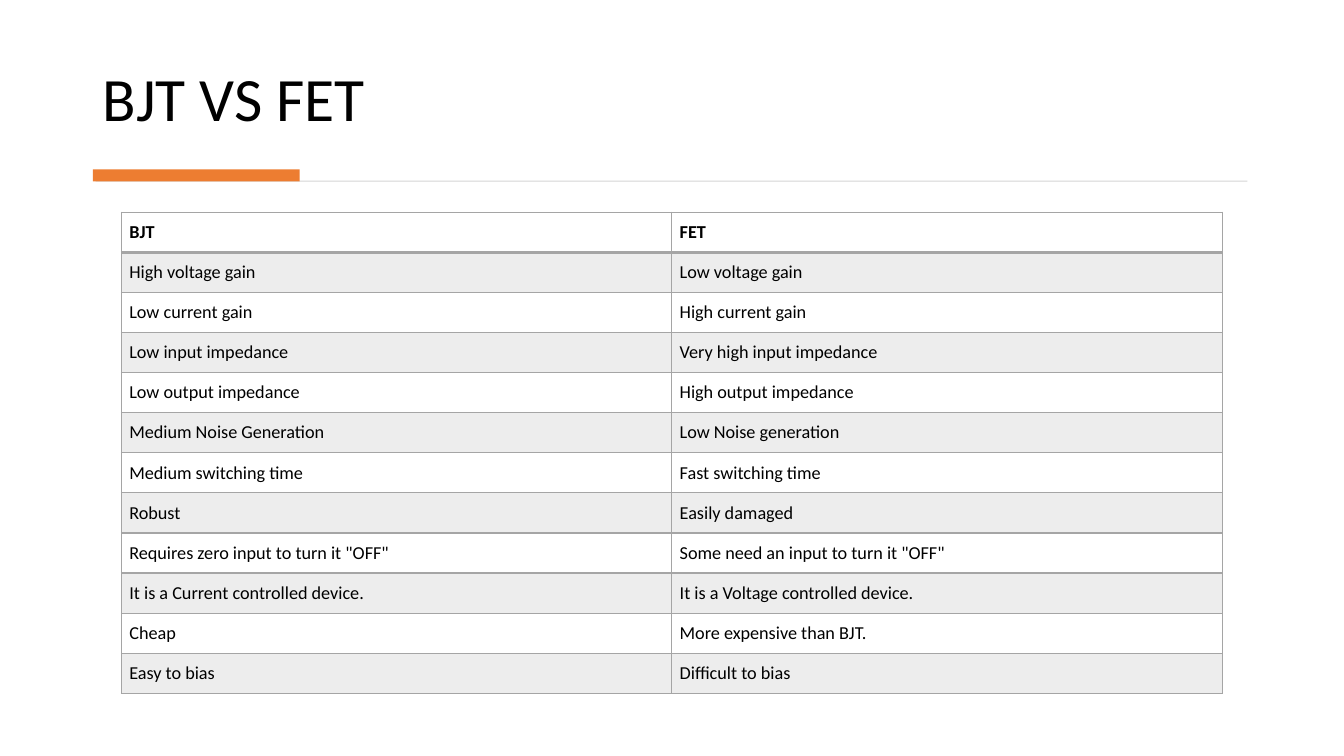
from dataclasses import dataclass

from lxml.etree import SubElement
from pptx import Presentation
from pptx.dml.color import RGBColor
from pptx.enum.shapes import MSO_SHAPE as Shape
from pptx.enum.text import MSO_ANCHOR as Anchor, MSO_AUTO_SIZE as AutoSize, PP_ALIGN as Align
from pptx.oxml.ns import qn
from pptx.util import Cm, Pt


@dataclass(frozen=True)
class Theme:
    font: str = "Calibri"
    text: str = "000000"
    accent: str = "ED7D31"
    rule: str = "D5D5D5"
    grid: str = "A5A5A5"
    band_opacity: int = 20
    title_size: int = 44
    table_size: int = 13


COMPARISON = [
    ("BJT", "FET"),
    ("High voltage gain", "Low voltage gain"),
    ("Low current gain", "High current gain"),
    ("Low input impedance", "Very high input impedance"),
    ("Low output impedance", "High output impedance"),
    ("Medium Noise Generation", "Low Noise generation"),
    ("Medium switching time", "Fast switching time"),
    ("Robust", "Easily damaged"),
    ('Requires zero input to turn it "OFF"', 'Some need an input to turn it "OFF"'),
    ("It is a Current controlled device.", "It is a Voltage controlled device."),
    ("Cheap", "More expensive than BJT."),
    ("Easy to bias", "Difficult to bias"),
]


class PageBuilder:
    def __init__(self, page, theme):
        self.page = page
        self.theme = theme

    def style(self, para, size, bold=False):
        para.alignment = Align.LEFT
        font = para.font
        font.name = self.theme.font
        font.size = Pt(size)
        font.bold = bold
        font.color.rgb = RGBColor.from_string(self.theme.text)

    def title(self, text, left, top, width, height):
        box = self.page.shapes.title
        box.left, box.top, box.width, box.height = Cm(left), Cm(top), Cm(width), Cm(height)
        frame = box.text_frame
        frame.text = text
        frame.auto_size = AutoSize.NONE
        frame.vertical_anchor = Anchor.BOTTOM
        para = frame.paragraphs[0]
        para.line_spacing = 0.9
        self.style(para, self.theme.title_size)

    def bar(self, color, left, top, width, height):
        bar = self.page.shapes.add_shape(
            Shape.RECTANGLE, Cm(left), Cm(top), Cm(width), Cm(height))
        bar.shadow.inherit = False
        bar.fill.solid()
        bar.fill.fore_color.rgb = RGBColor.from_string(color)
        bar.line.fill.background()

    def table(self, rows, left, top, column_width, row_height):
        columns = len(rows[0])
        table = self.page.shapes.add_table(
            len(rows), columns, Cm(left), Cm(top),
            Cm(column_width * columns), Cm(row_height * len(rows))).table
        table.first_row = table.horz_banding = False
        for column in table.columns:
            column.width = Cm(column_width)
        for index, texts in enumerate(rows):
            table.rows[index].height = Cm(row_height)
            for cell, text in zip(table.rows[index].cells, texts):
                self.cell(cell, text, index)

    def cell(self, cell, text, row):
        cell.text = text
        cell.vertical_anchor = Anchor.MIDDLE
        cell.margin_left = cell.margin_right = Cm(0.2)
        cell.margin_top = cell.margin_bottom = Cm(0.2)
        self.style(cell.text_frame.paragraphs[0], self.theme.table_size, bold=row == 0)
        self.borders(cell, top=2 if row == 1 else 1, bottom=2 if row == 0 else 1)
        if row % 2:
            cell.fill.solid()
            cell.fill.fore_color.rgb = RGBColor.from_string(self.theme.grid)
            color = cell._tc.tcPr.find(qn("a:solidFill"))[0]
            SubElement(color, qn("a:alpha"), val=str(self.theme.band_opacity * 1000))
        else:
            cell.fill.background()

    def borders(self, cell, top, bottom):
        """Draw the four cell borders; widths are in points."""
        properties = cell._tc.get_or_add_tcPr()
        for side, width in (("L", 1), ("R", 1), ("T", top), ("B", bottom)):
            line = SubElement(properties, qn(f"a:ln{side}"), w=str(Pt(width)))
            fill = SubElement(line, qn("a:solidFill"))
            SubElement(fill, qn("a:srgbClr"), val=self.theme.grid)


def main():
    deck = Presentation()
    deck.slide_width, deck.slide_height = Cm(33.87), Cm(19.05)
    theme = Theme()
    title_only = deck.slide_layouts[5]
    builder = PageBuilder(deck.slides.add_slide(title_only), theme)
    builder.title("BJT VS FET", 2.34, 0.71, 29.18, 2.82)
    builder.bar(theme.rule, 2.41, 4.55, 29.03, 0.03)
    builder.bar(theme.accent, 2.34, 4.27, 5.21, 0.3)
    builder.table(COMPARISON, 3.06, 5.35, 13.87, 1.01)
    deck.save("out.pptx")


if __name__ == "__main__":
    main()
